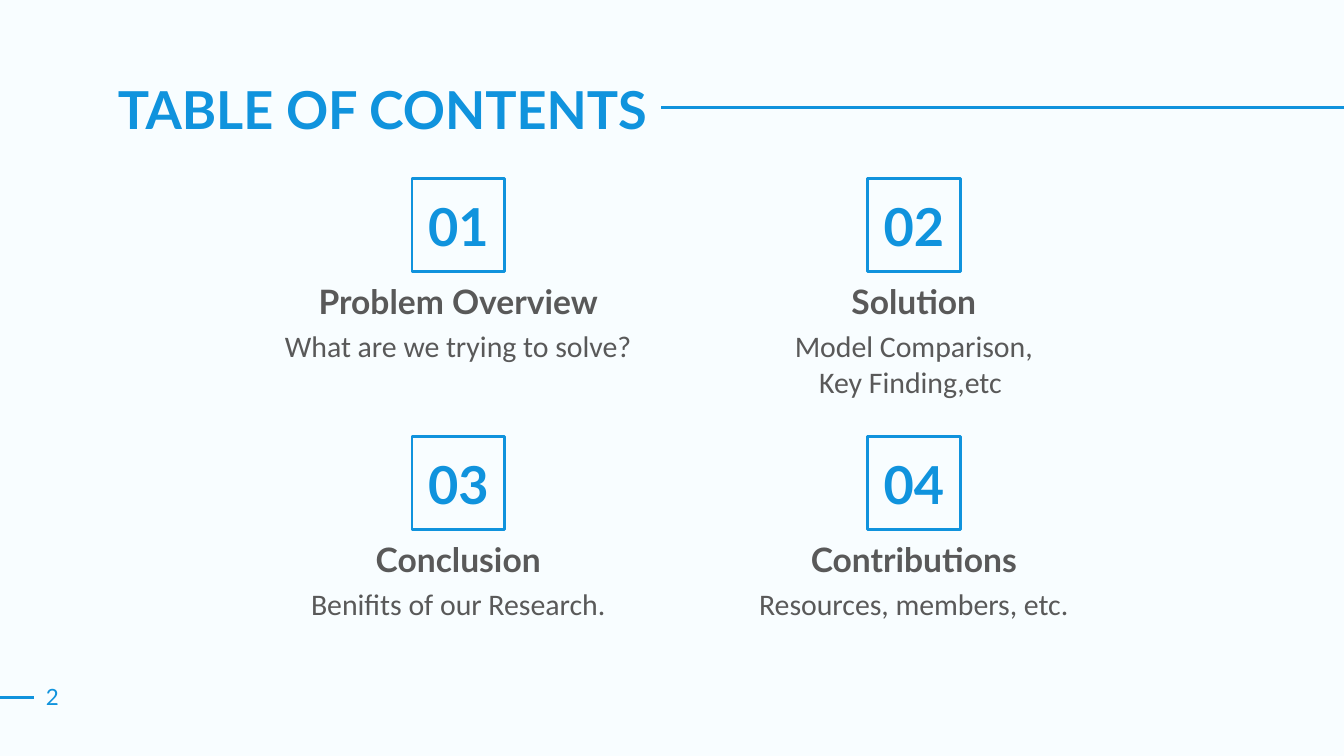
from dataclasses import dataclass

from lxml import etree
from pptx import Presentation
from pptx.dml.color import RGBColor
from pptx.enum.shapes import MSO_CONNECTOR, MSO_SHAPE
from pptx.enum.text import MSO_ANCHOR, PP_ALIGN
from pptx.oxml.ns import qn
from pptx.util import Inches, Pt

STRAIGHT = MSO_CONNECTOR.STRAIGHT
RECTANGLE = MSO_SHAPE.RECTANGLE
TOP, MIDDLE = MSO_ANCHOR.TOP, MSO_ANCHOR.MIDDLE
LEFT, CENTER = PP_ALIGN.LEFT, PP_ALIGN.CENTER

BLUE, GREY, BACKGROUND = "1093DD", "595959", "F8FDFF"


@dataclass(frozen=True)
class TextStyle:
    size: float
    color: str
    font: str = "Lato"
    bold: bool = False
    align: PP_ALIGN = CENTER
    anchor: MSO_ANCHOR = MIDDLE
    side_margin: float = 0.1


@dataclass(frozen=True)
class Area:
    left: float
    top: float
    width: float
    height: float

    def lengths(self) -> list:
        return [Inches(n) for n in (self.left, self.top, self.width, self.height)]


@dataclass(frozen=True)
class Topic:
    heading: str
    details: tuple[str, ...]


TITLE = TextStyle(28, BLUE, bold=True, align=LEFT)
NUMBER = TextStyle(28, BLUE, bold=True)
HEADING = TextStyle(18, GREY, bold=True)
DETAIL = TextStyle(16, GREY, font="Calibri", anchor=TOP)
PAGE_NUMBER = TextStyle(12, BLUE, side_margin=0)

TOPICS = (
    Topic("Problem Overview", ("What are we trying to solve?",)),
    Topic("Solution", ("Model Comparison,", "Key Finding,etc ")),
    Topic("Conclusion", ("Benifits of our Research.",)),
    Topic("Contributions", ("Resources, members, etc.",)),
)

# Topic grid, in inches
COLUMNS = 2
FIRST_CENTER, FIRST_TOP = 3.41, 1.33
COLUMN_STEP, ROW_STEP = 3.39, 1.92
BADGE_SIZE = 0.69


def color(value: str) -> RGBColor:
    return RGBColor.from_string(value)


def write(box, lines: tuple[str, ...], style: TextStyle) -> None:
    frame = box.text_frame
    settings = {
        "word_wrap": True,
        "vertical_anchor": style.anchor,
        "margin_left": Inches(style.side_margin),
        "margin_right": Inches(style.side_margin),
        "margin_top": Inches(0.1),
        "margin_bottom": Inches(0.1),
    }
    for name, value in settings.items():
        setattr(frame, name, value)
    for index, line in enumerate(lines):
        para = frame.add_paragraph() if index else frame.paragraphs[0]
        para.alignment = style.align
        span = para.add_run()
        span.text = line
        font_settings = {"name": style.font, "size": Pt(style.size), "bold": style.bold}
        for name, value in font_settings.items():
            setattr(span.font, name, value)
        span.font.color.rgb = color(style.color)


def add_text(page, area: Area, lines: tuple[str, ...], style: TextStyle) -> None:
    write(page.shapes.add_textbox(*area.lengths()), lines, style)


def add_rule(page, start: float, end: float, height: float) -> None:
    rule = page.shapes.add_connector(
        STRAIGHT, Inches(start), Inches(height), Inches(end), Inches(height)
    )
    rule.line.color.rgb = color(BLUE)
    rule.line.width = Pt(1.5)
    etree.SubElement(rule.element.spPr, qn("a:effectLst"))


def add_badge(page, area: Area, number: int) -> None:
    badge = page.shapes.add_shape(RECTANGLE, *area.lengths())
    badge.shadow.inherit = False
    badge.fill.background()
    badge.line.color.rgb = color(BLUE)
    badge.line.width = Pt(1.5)
    write(badge, (f"{number:02d}",), NUMBER)


def add_topic(page, index: int, topic: Topic) -> None:
    row, column = divmod(index, COLUMNS)
    center = FIRST_CENTER + column * COLUMN_STEP
    top = FIRST_TOP + row * ROW_STEP

    def centered(offset: float, width: float, height: float) -> Area:
        return Area(center - width / 2, top + offset, width, height)

    add_badge(page, centered(0, BADGE_SIZE, BADGE_SIZE), index + 1)
    add_text(page, centered(0.73, 3.04, 0.36), (topic.heading,), HEADING)
    add_text(page, centered(1.01, 2.81, 0.79), topic.details, DETAIL)


def main() -> None:
    deck = Presentation()
    # Widescreen, 16 to 9
    deck.slide_width, deck.slide_height = Inches(10), Inches(10 * 9 / 16)
    page = deck.slides.add_slide(deck.slide_layouts[6])
    page.background.fill.solid()
    page.background.fill.fore_color.rgb = color(BACKGROUND)

    # Title with its rule
    add_text(page, Area(0.78, 0.49, 8.44, 0.63), ("TABLE OF CONTENTS",), TITLE)
    add_rule(page, 4.92, 10, 0.8)

    # Numbered topics
    for index, topic in enumerate(TOPICS):
        add_topic(page, index, topic)

    # Page number
    add_rule(page, -0.01, 0.25, 5.19)
    add_text(page, Area(0.26, 5.07, 0.26, 0.23), ("2",), PAGE_NUMBER)

    deck.save("out.pptx")


if __name__ == "__main__":
    main()
